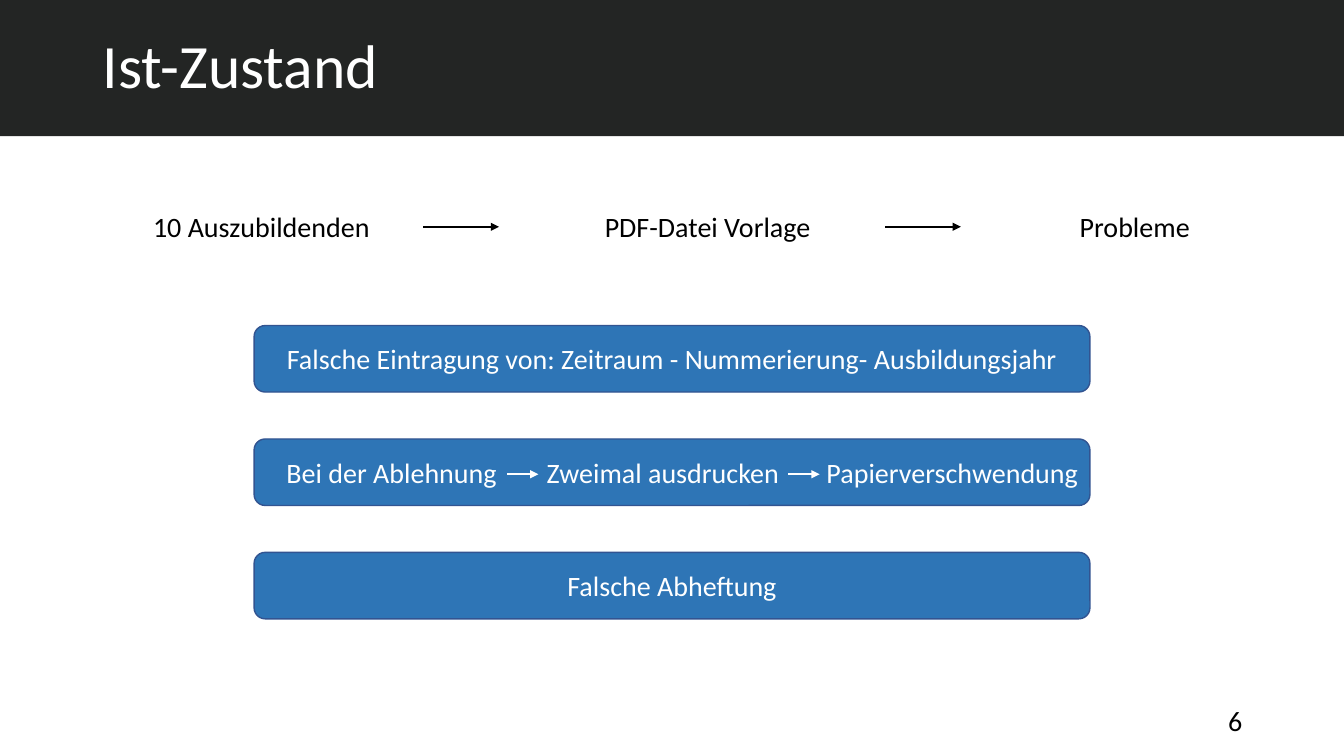
from lxml import etree
from pptx import Presentation
from pptx.dml.color import RGBColor
from pptx.enum.shapes import MSO_CONNECTOR, MSO_SHAPE
from pptx.enum.text import MSO_ANCHOR, PP_ALIGN
from pptx.oxml.ns import qn
from pptx.util import Inches, Pt

WHITE = RGBColor(0xFF, 0xFF, 0xFF)
BLACK = RGBColor(0, 0, 0)
HEADER_FILL = RGBColor(0x23, 0x25, 0x24)
BAR_FILL = RGBColor(0x2E, 0x75, 0xB6)
BAR_LINE = RGBColor(0x32, 0x54, 0x91)
FONT = "Calibri"

TITLE = "Ist-Zustand"
PAGE_NUMBER = "6"
FLOW_STEPS = [("10 Auszubildenden", 1.42, 2.43), ("PDF-Datei Vorlage", 5.9, 2.26),
              ("Probleme", 10.61, 1.31)]
FLOW_ARROWS = [4.2, 8.78]
PROBLEMS = [
    [("Falsche Eintragung von: Zeitraum - Nummerierung- Ausbildungsjahr", 2.71, 7.91)],
    [("Bei der Ablehnung", 2.71, 2.35), ("Zweimal ausdrucken", 5.31, 2.53),
     ("Papierverschwendung", 8.08, 2.73)],
    [("Falsche Abheftung", 5.51, 2.31)],
]
REJECTION_ROW = 1
REJECTION_ARROWS = [5.03, 7.82]

SLIDE_WIDTH, SLIDE_HEIGHT = 13.33, 7.5
FLOW_TOP, LABEL_HEIGHT = 2.03, 0.44
BAR_LEFT, BAR_TOP, BAR_WIDTH, BAR_HEIGHT, BAR_PITCH = 2.52, 3.23, 8.29, 0.66, 1.125

presentation = Presentation()
presentation.slide_width = Inches(SLIDE_WIDTH)
presentation.slide_height = Inches(SLIDE_HEIGHT)
slide = presentation.slides.add_slide(presentation.slide_layouts[6])


def add_box(preset, left, top, width, height, fill, line=None):
    shape = slide.shapes.add_shape(preset, Inches(left), Inches(top), Inches(width), Inches(height))
    shape.shadow.inherit = False
    shape.fill.solid()
    shape.fill.fore_color.rgb = fill
    if line is None:
        shape.line.fill.background()
    else:
        shape.line.color.rgb = line
        shape.line.width = Pt(1)


def add_text(text, left, top, width, height, color, size=20, align=PP_ALIGN.LEFT,
             anchor=MSO_ANCHOR.TOP, wrap=False):
    box = slide.shapes.add_textbox(Inches(left), Inches(top), Inches(width), Inches(height))
    frame = box.text_frame
    frame.text = text
    frame.word_wrap = wrap
    frame.vertical_anchor = anchor
    paragraph = frame.paragraphs[0]
    paragraph.alignment = align
    font = paragraph.runs[0].font
    font.name, font.size, font.color.rgb = FONT, Pt(size), color
    return paragraph


def add_arrow(left, y, length, color):
    arrow = slide.shapes.add_connector(MSO_CONNECTOR.STRAIGHT, Inches(left), Inches(y),
                                       Inches(left + length), Inches(y))
    arrow.line.color.rgb = color
    arrow.line.width = Pt(1.5)
    etree.SubElement(arrow.line._get_or_add_ln(), qn("a:tailEnd"), type="triangle")
    etree.SubElement(arrow._element.spPr, qn("a:effectLst"))


add_box(MSO_SHAPE.RECTANGLE, 0, 0, SLIDE_WIDTH, 1.35, HEADER_FILL)
title = add_text(TITLE, 0.92, 0.2, 11.5, 0.95, WHITE, 44, anchor=MSO_ANCHOR.MIDDLE, wrap=True)
title.line_spacing = 0.9

for text, left, width in FLOW_STEPS:
    add_text(text, left, FLOW_TOP, width, LABEL_HEIGHT, BLACK)
for left in FLOW_ARROWS:
    add_arrow(left, FLOW_TOP + LABEL_HEIGHT / 2, 0.75, BLACK)

for row, labels in enumerate(PROBLEMS):
    bar_top = BAR_TOP + row * BAR_PITCH
    label_top = bar_top + (BAR_HEIGHT - LABEL_HEIGHT) / 2
    add_box(MSO_SHAPE.FLOWCHART_ALTERNATE_PROCESS, BAR_LEFT, bar_top, BAR_WIDTH, BAR_HEIGHT,
            BAR_FILL, BAR_LINE)
    for text, left, width in labels:
        add_text(text, left, label_top, width, LABEL_HEIGHT, WHITE, align=PP_ALIGN.CENTER)
    if row == REJECTION_ROW:
        for left in REJECTION_ARROWS:
            add_arrow(left, bar_top + BAR_HEIGHT / 2 + 0.02, 0.31, WHITE)

add_text(PAGE_NUMBER, 9.42, 6.95, 3, 0.4, BLACK, align=PP_ALIGN.RIGHT,
         anchor=MSO_ANCHOR.MIDDLE, wrap=True)

presentation.save("out.pptx")
